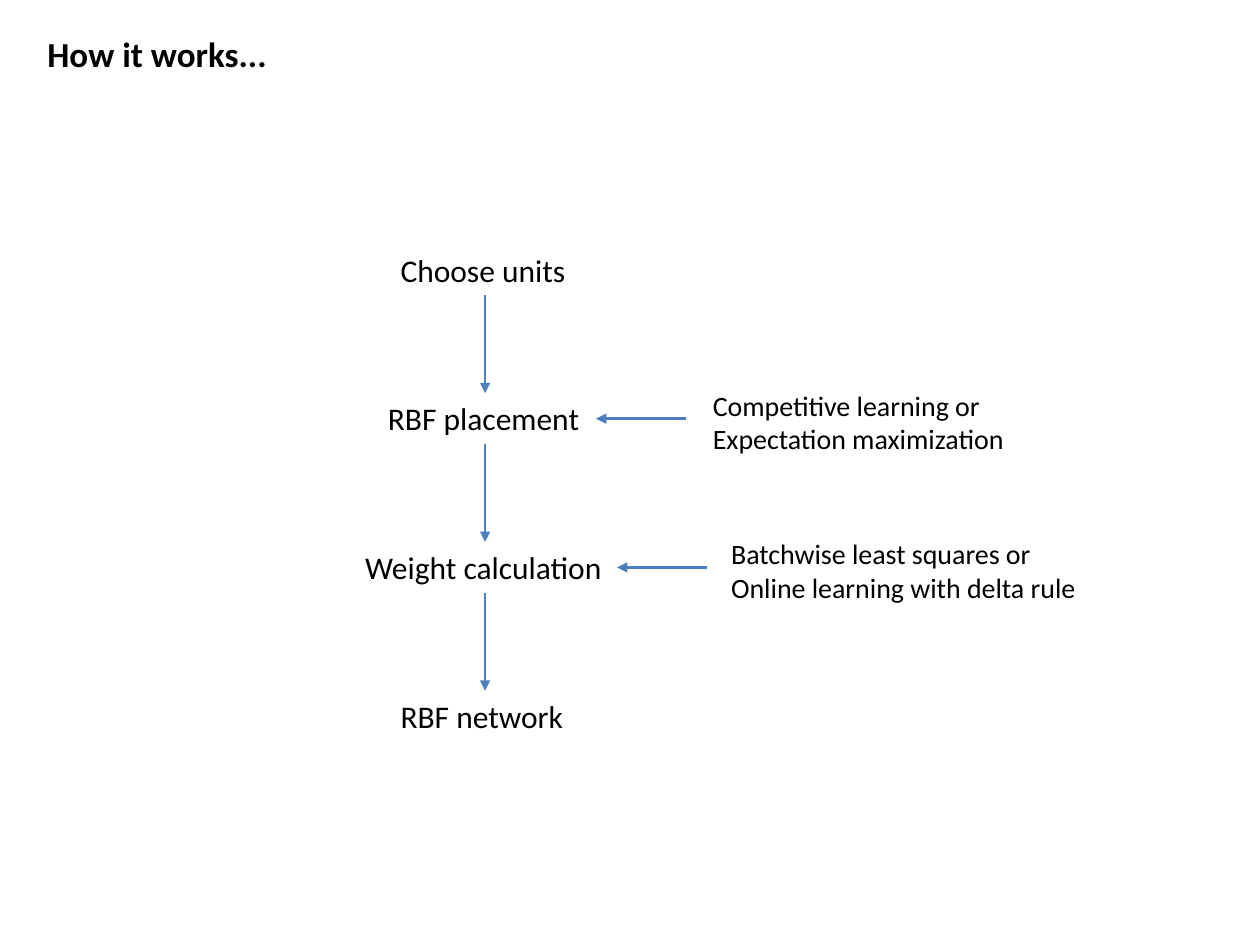
"""Build a slide that shows the steps of setting up an RBF network."""
from dataclasses import dataclass

from lxml.etree import SubElement
from pptx import Presentation
from pptx.dml.color import RGBColor as Color
from pptx.enum.shapes import MSO_CONNECTOR as Connector
from pptx.enum.text import MSO_AUTO_SIZE as AutoSize
from pptx.oxml.ns import qn
from pptx.util import Pt


@dataclass(frozen=True)
class Theme:
    """Hold the colours, font and sizes of the slide."""
    font: str = "Calibri"
    ink: str = "000000"
    flow: str = "4F81BD"
    method: str = "4B7EBC"
    title_size: int = 20
    step_size: int = 18
    method_size: int = 16
    line_width: float = 1.5


THEME = Theme()
FLOW_X = 277.2
FIRST_TOP = 139.7
PITCH = 85
STEP_HEIGHT = 29.1
METHOD_HEIGHT = 46
STEPS = [
    ("Choose units", 221.8, 110.2),
    ("RBF placement", 214.6, 125.3),
    ("Weight calculation", 201.6, 151.2),
    ("RBF network", 221.8, 108),
]
METHODS = [
    (1, "Competitive learning or\nExpectation maximization", 400.3, 182.9, 392.2, 340.6),
    (2, "Batchwise least squares or\nOnline learning with delta rule", 410.7, 213.8, 404.1, 352.6),
]


def add_text(page, text, left, top, width, height, *, size, bold=False, wrap=False):
    """Add a text box with one paragraph for each line of text."""
    box = page.shapes.add_textbox(Pt(left), Pt(top), Pt(width), Pt(height))
    frame = box.text_frame
    frame.word_wrap = wrap
    frame.auto_size = AutoSize.SHAPE_TO_FIT_TEXT
    frame.text = text
    for para in frame.paragraphs:
        for span in para.runs:
            span.font.name = THEME.font
            span.font.size = Pt(size)
            span.font.bold = bold
            span.font.color.rgb = Color.from_string(THEME.ink)


def add_arrow(page, start, end, color):
    """Add a straight arrow that points at its end."""
    arrow = page.shapes.add_connector(
        Connector.STRAIGHT, *(Pt(value) for value in (*start, *end)))
    arrow.line.color.rgb = Color.from_string(color)
    arrow.line.width = Pt(THEME.line_width)
    SubElement(arrow.line._get_or_add_ln(), qn("a:tailEnd"), type="triangle")
    SubElement(arrow._element.spPr, qn("a:effectLst"))


def add_steps(page):
    """Add the column of steps and the arrows between them."""
    for index, (text, left, width) in enumerate(STEPS):
        top = FIRST_TOP + index * PITCH
        add_text(page, text, left, top, width, STEP_HEIGHT, size=THEME.step_size)
        if index < len(STEPS) - 1:
            add_arrow(page, (FLOW_X, top + STEP_HEIGHT), (FLOW_X, top + PITCH), THEME.flow)


def add_methods(page):
    """Add the methods beside their steps, each with an arrow."""
    for step, text, left, width, start, end in METHODS:
        middle = FIRST_TOP + step * PITCH + STEP_HEIGHT / 2
        add_arrow(page, (start, middle), (end, middle), THEME.method)
        add_text(page, text, left, middle - 21, width, METHOD_HEIGHT, size=THEME.method_size)


def main():
    """Build the deck and save it."""
    deck = Presentation()
    deck.slide_width, deck.slide_height = Pt(720), Pt(540)
    page = deck.slides.add_slide(deck.slide_layouts[6])
    add_text(page, "How it works...", 20, 15.1, 646.6, 31.5,
             size=THEME.title_size, bold=True, wrap=True)
    add_steps(page)
    add_methods(page)
    deck.save("out.pptx")


if __name__ == "__main__":
    main()
